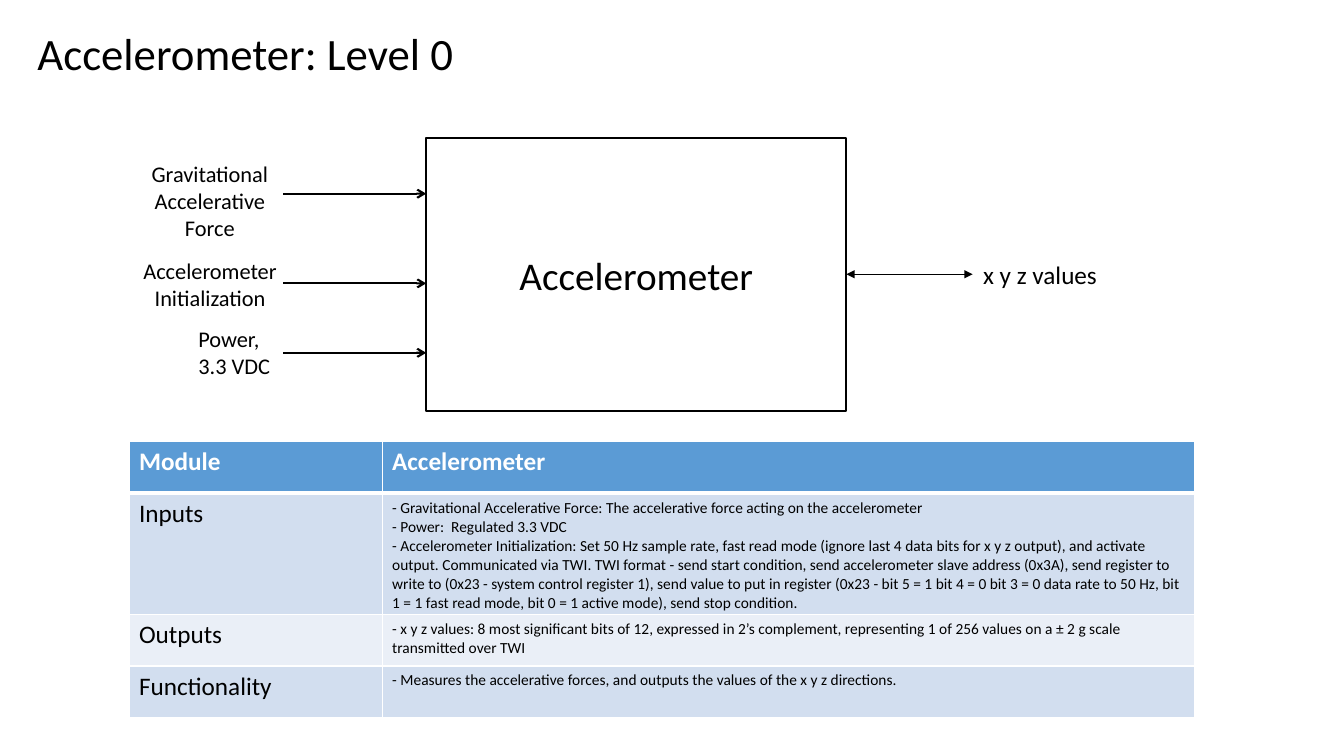
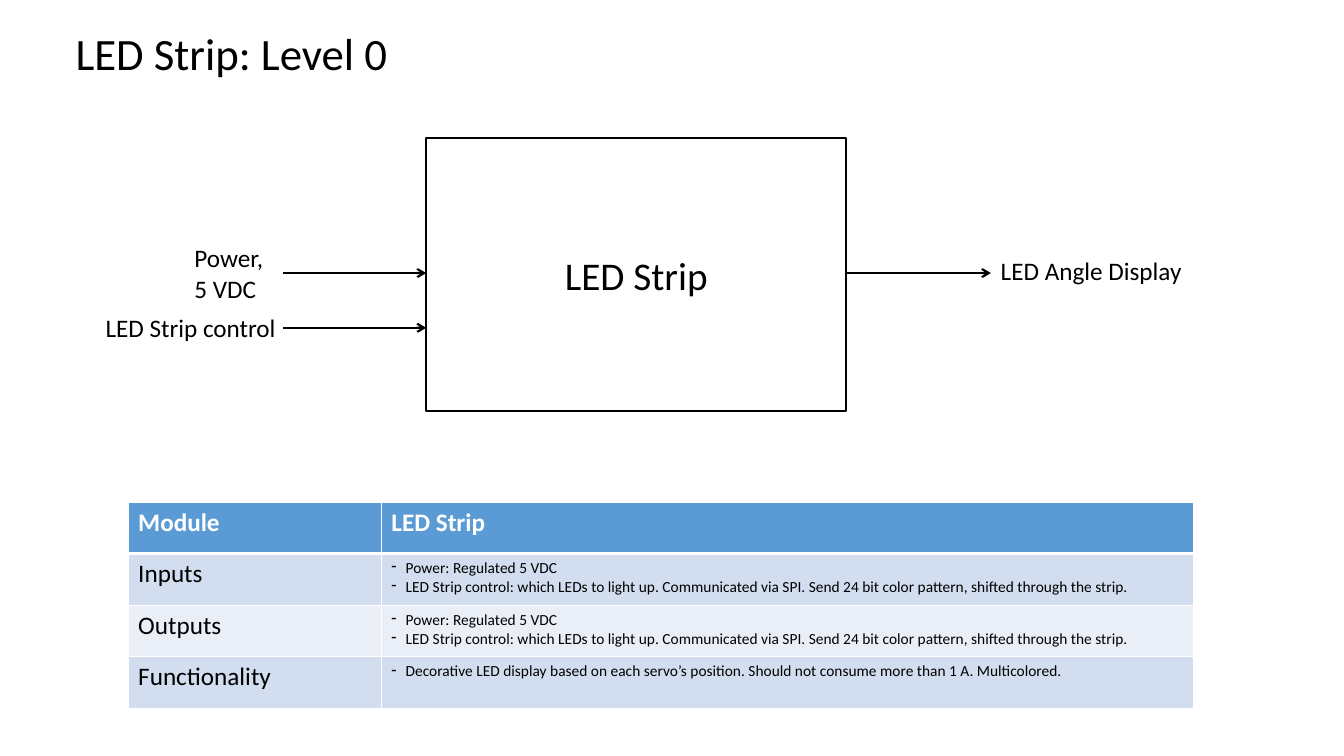
from lxml.etree import SubElement
from pptx import Presentation
from pptx.dml.color import RGBColor
from pptx.enum.shapes import MSO_CONNECTOR, MSO_SHAPE
from pptx.enum.text import MSO_ANCHOR, MSO_AUTO_SIZE, PP_ALIGN
from pptx.oxml.ns import qn
from pptx.util import Cm, Pt

INK = {"black": "000000", "white": "FFFFFF", "head": "5B9BD5",
       "dark": "D2DEEF", "light": "EAEFF7"}
BOX = (10.74, 3.48, 10.59, 6.88)
LEFT = 7.14
RIGHT = BOX[0] + BOX[2]


def color(name):
    return RGBColor.from_string(INK[name])


def write(frame, text, size=18, ink="black", bold=False, center=False,
          middle=False, wrap=True, dash=False):
    frame.word_wrap = wrap
    frame.vertical_anchor = MSO_ANCHOR.MIDDLE if middle else MSO_ANCHOR.TOP
    frame.text = text
    for para in frame.paragraphs:
        para.alignment = PP_ALIGN.CENTER if center else PP_ALIGN.LEFT
        for run in para.runs:
            font = run.font
            font.name, font.size, font.bold = "Calibri", Pt(size), bold
            font.color.rgb = color(ink)
        if dash:
            props = para._p.get_or_add_pPr()
            props.set("marL", str(Cm(0.36)))
            props.set("indent", str(Cm(-0.36)))
            SubElement(props, qn("a:buChar"), char="-")


class Deck:
    def __init__(self):
        self.show = Presentation()
        self.show.slide_width = Cm(33.87)
        self.show.slide_height = Cm(19.05)
        self.slide = None

    def page(self, title, left, width):
        self.slide = self.show.slides.add_slide(self.show.slide_layouts[5])
        shape = self.slide.shapes.title
        shape.left, shape.top = Cm(left), Cm(0.53)
        shape.width, shape.height = Cm(width), Cm(1.63)
        write(shape.text_frame, title, size=32, wrap=False)
        shape.text_frame.auto_size = MSO_AUTO_SIZE.NONE

    def module(self, text):
        shape = self.slide.shapes.add_shape(
            MSO_SHAPE.RECTANGLE, *map(Cm, BOX))
        shape.shadow.inherit = False
        shape.fill.solid()
        shape.fill.fore_color.rgb = color("white")
        shape.line.color.rgb = color("black")
        shape.line.width = Pt(1.5)
        write(shape.text_frame, text, size=28, center=True, middle=True)

    def label(self, text, left, top, width, height, **style):
        shape = self.slide.shapes.add_textbox(
            Cm(left), Cm(top), Cm(width), Cm(height))
        write(shape.text_frame, text, **style)
        shape.text_frame.auto_size = MSO_AUTO_SIZE.SHAPE_TO_FIT_TEXT

    def arrow(self, start, end, y, weight=1.5, kind="arrow", both=False):
        wire = self.slide.shapes.add_connector(
            MSO_CONNECTOR.STRAIGHT, Cm(start), Cm(y), Cm(end), Cm(y))
        wire.line.color.rgb = color("black")
        wire.line.width = Pt(weight)
        line = wire.line._get_or_add_ln()
        for tag in ("a:headEnd", "a:tailEnd") if both else ("a:tailEnd",):
            SubElement(line, qn(tag), type=kind)
        SubElement(wire._element.spPr, qn("a:effectLst"))

    def inputs(self, *rows):
        for y in rows:
            self.arrow(LEFT, BOX[0], y)

    def cell(self, cell, text, fill, base=1, **style):
        props = cell._tc.get_or_add_tcPr()
        for side in "LRTB":
            weight = base if side == "B" else 1
            edge = SubElement(props, qn("a:ln" + side), w=str(Pt(weight)))
            paint = SubElement(edge, qn("a:solidFill"))
            SubElement(paint, qn("a:srgbClr"), val=INK["white"])
        cell.fill.solid()
        cell.fill.fore_color.rgb = color(fill)
        write(cell.text_frame, text, **style)

    def table(self, left, top, name, notes, tall=1.3, dash=False):
        cols, rows = (6.38, 20.47), (1.3, tall, 1.3, 1.3)
        grid = self.slide.shapes.add_table(
            4, 2, Cm(left), Cm(top), Cm(sum(cols)), Cm(sum(rows))).table
        grid.horz_banding = False
        for col, width in zip(grid.columns, cols):
            col.width = Cm(width)
        for row, height in zip(grid.rows, rows):
            row.height = Cm(height)
        for i, text in enumerate(("Module", name)):
            self.cell(grid.cell(0, i), text, "head", base=3,
                      ink="white", bold=True)
        heads = ("Inputs", "Outputs", "Functionality")
        for i, (head, note) in enumerate(zip(heads, notes), 1):
            fill = "dark" if i % 2 else "light"
            self.cell(grid.cell(i, 0), head, fill)
            self.cell(grid.cell(i, 1), note, fill, size=11, dash=dash)


deck = Deck()

deck.page("Accelerometer: Level 0", 0.69, 11.1)
deck.module("Accelerometer")
deck.inputs(4.88, 7.14, 8.89)
deck.label("Gravitational Accelerative Force", 3.51, 3.91, 3.56, 2.31,
           size=16, center=True)
deck.label("Accelerometer Initialization", 3.25, 6.35, 4.09, 1.63,
           size=16, center=True)
deck.label("Power,\n3.3 VDC", 4.75, 8.08, 2.34, 1.63, size=16, wrap=False)
deck.arrow(RIGHT, 24.51, 6.91, weight=0.5, kind="triangle", both=True)
deck.label("x y z values", 24.51, 6.4, 3.4, 1.02, center=True, wrap=False)
deck.table(3.25, 11.13, "Accelerometer", (
    "- Gravitational Accelerative Force: The accelerative force acting on "
    "the accelerometer\n"
    "- Power:  Regulated 3.3 VDC\n"
    "- Accelerometer Initialization: Set 50 Hz sample rate, fast read mode "
    "(ignore last 4 data bits for x y z output), and activate output. "
    "Communicated via TWI. TWI format - send start condition, send "
    "accelerometer slave address (0x3A), send register to write to "
    "(0x23 - system control register 1), send value to put in register "
    "(0x23 - bit 5 = 1 bit 4 = 0 bit 3 = 0 data rate to 50 Hz, "
    "bit 1 = 1 fast read mode, bit 0 = 1 active mode), send stop condition.",
    "- x y z values: 8 most significant bits of 12, expressed in 2’s "
    "complement, representing 1 of 256 values on a ± 2 g scale "
    "transmitted over TWI",
    "- Measures the accelerative forces, and outputs the values of the "
    "x y z directions."), tall=3.02)

deck.page("LED Strip: Level 0", 1.65, 8.46)
deck.module("LED Strip")
deck.inputs(6.88, 8.26)
deck.label("Power,\n5 VDC", 4.65, 5.99, 2.41, 1.8, wrap=False)
deck.label("LED Strip control", 2.41, 7.75, 4.85, 1.02, wrap=False)
deck.arrow(RIGHT, 24.97, 6.88)
deck.label("LED Angle Display", 24.97, 6.32, 5.13, 1.02, wrap=False)
feed = ("Power: Regulated 5 VDC\n"
        "LED Strip control: which LEDs to light up. Communicated via SPI. "
        "Send 24 bit color pattern, shifted through the strip.")
deck.table(3.23, 12.65, "LED Strip", (
    feed, feed,
    "Decorative LED display based on each servo’s position. "
    "Should not consume more than 1 A. Multicolored."), dash=True)

deck.show.save("out.pptx")
